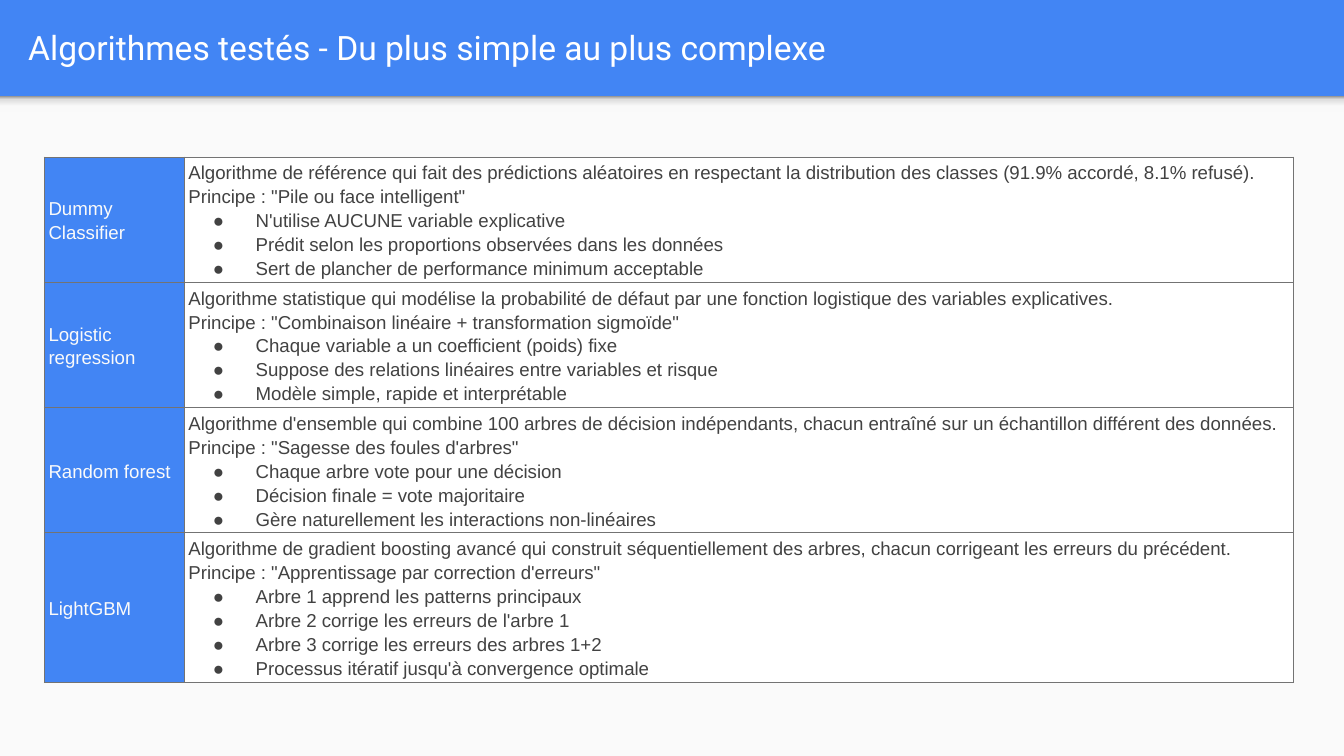
from lxml import etree
from pptx import Presentation
from pptx import util as u
from pptx.dml.color import RGBColor
from pptx.enum import shapes, text
from pptx.oxml import ns

HUES = {"blue": "4285F4", "pale": "FAFAFA", "white": "FFFFFF",
        "ink": "424242", "edge": "737373"}
SHADE = [(0, "F9F9F9"), (36, "F9F9F9"), (80, "DEDEDE"), (100, "999999")]

ROWS = [
    ("Dummy Classifier",
     ["Algorithme de référence qui fait des prédictions aléatoires en respectant la distribution "
      "des classes (91.9% accordé, 8.1% refusé). Principe : \"Pile ou face intelligent\""],
     ["N'utilise AUCUNE variable explicative",
      "Prédit selon les proportions observées dans les données",
      "Sert de plancher de performance minimum acceptable"]),
    ("Logistic regression",
     ["Algorithme statistique qui modélise la probabilité de défaut par une fonction logistique "
      "des variables explicatives.",
      "Principe : \"Combinaison linéaire + transformation sigmoïde\""],
     ["Chaque variable a un coefficient (poids) fixe",
      "Suppose des relations linéaires entre variables et risque",
      "Modèle simple, rapide et interprétable"]),
    ("Random forest",
     ["Algorithme d'ensemble qui combine 100 arbres de décision indépendants, chacun entraîné "
      "sur un échantillon différent des données. Principe : \"Sagesse des foules d'arbres\""],
     ["Chaque arbre vote pour une décision",
      "Décision finale = vote majoritaire",
      "Gère naturellement les interactions non-linéaires"]),
    ("LightGBM",
     ["Algorithme de gradient boosting avancé qui construit séquentiellement des arbres, chacun "
      "corrigeant les erreurs du précédent. Principe : \"Apprentissage par correction d'erreurs\""],
     ["Arbre 1 apprend les patterns principaux",
      "Arbre 2 corrige les erreurs de l'arbre 1",
      "Arbre 3 corrige les erreurs des arbres 1+2",
      "Processus itératif jusqu'à convergence optimale"]),
]


def node(root, tag, **attrs):
    return etree.SubElement(root, ns.qn(tag), attrs)


def solid(root, hue):
    node(node(root, "a:solidFill"), "a:srgbClr", val=hue)


class Deck:
    font, size, lead = "Arial", 10, 1.15

    def __init__(self, wide, high):
        self.prs = Presentation()
        self.prs.slide_width, self.prs.slide_height = u.Pt(wide), u.Pt(high)
        self.slide = self.prs.slides.add_slide(self.prs.slide_layouts[5])

    def back(self, hue):
        fill = self.slide.background.fill
        fill.solid()
        fill.fore_color.rgb = RGBColor.from_string(HUES[hue])

    def run(self, para, words, hue, font=None, size=None):
        run = para.add_run()
        run.text = words
        run.font.name = font or self.font
        run.font.size = u.Pt(size or self.size)
        run.font.color.rgb = RGBColor.from_string(HUES[hue])

    def title(self, words, *box):
        head = self.slide.shapes.title
        head.left, head.top, head.width, head.height = map(u.Pt, box)
        frame = head.text_frame
        frame.auto_size = text.MSO_AUTO_SIZE.NONE
        frame.word_wrap = True
        frame.vertical_anchor = text.MSO_ANCHOR.MIDDLE
        frame.margin_left = frame.margin_right = u.Pt(7.2)
        frame.margin_top = frame.margin_bottom = u.Pt(7.2)
        para = frame.paragraphs[0]
        para.alignment = text.PP_ALIGN.LEFT
        self.run(para, words, "white", "Roboto", 18)

    def rect(self, *box):
        shape = self.slide.shapes.add_shape(
            shapes.MSO_SHAPE.RECTANGLE, *map(u.Pt, box))
        shape.shadow.inherit = False
        shape.line.fill.background()
        return shape

    def panel(self, hue, *box):
        fill = self.rect(*box).fill
        fill.solid()
        fill.fore_color.rgb = RGBColor.from_string(HUES[hue])

    def shade(self, stops, *box):
        shape = self.rect(*box)
        shape.fill.gradient()
        shape.fill.gradient_angle = 90
        group = shape._element.spPr.find(".//" + ns.qn("a:gsLst"))
        for old in list(group):
            group.remove(old)
        for spot, hue in stops:
            stop = node(group, "a:gs", pos=str(spot * 1000))
            node(stop, "a:srgbClr", val=hue)

    def para(self, cell, words, hue, mark=False):
        frame = cell.text_frame
        para = frame.paragraphs[0]
        if para.runs:
            para = frame.add_paragraph()
        para.line_spacing = self.lead
        if mark:
            props = para._p.get_or_add_pPr()
            props.set("marL", str(u.Pt(36)))
            props.set("indent", str(u.Pt(-23)))
            node(node(props, "a:buClr"), "a:srgbClr", val=HUES[hue])
            node(props, "a:buFont", typeface=self.font)
            node(props, "a:buChar", char="●")
        self.run(para, words, hue)

    def cell(self, cell, hue):
        cell.vertical_anchor = text.MSO_ANCHOR.MIDDLE
        cell.margin_left = cell.margin_right = u.Pt(2.2)
        cell.margin_top = cell.margin_bottom = u.Pt(1.4)
        props = cell._tc.get_or_add_tcPr()
        for side in "LRTB":
            line = node(props, "a:ln" + side, w=str(u.Pt(0.6)))
            solid(line, HUES["edge"])
        cell.fill.solid()
        cell.fill.fore_color.rgb = RGBColor.from_string(HUES[hue])

    def table(self, rows, left, top, wides, highs):
        frame = self.slide.shapes.add_table(
            len(rows), len(wides), u.Pt(left), u.Pt(top),
            u.Pt(sum(wides)), u.Pt(sum(highs)))
        grid = frame.table
        for col, wide in zip(grid.columns, wides):
            col.width = u.Pt(wide)
        for row, high, (name, intro, points) in zip(grid.rows, highs, rows):
            row.height = u.Pt(high)
            label, body = row.cells
            self.cell(label, "blue")
            self.cell(body, "white")
            self.para(label, name, "pale")
            for words in intro:
                self.para(body, words, "ink")
            for words in points:
                self.para(body, words, "ink", True)

    def save(self):
        self.prs.save("out.pptx")


def main():
    deck = Deck(720, 405)
    deck.back("blue")
    deck.title("Algorithmes testés - Du plus simple au plus complexe",
               7.9, 1.6, 694.8, 47.6)
    deck.panel("pale", 0, 51.6, 720, 353.4)
    deck.shade(SHADE, 0, 51.6, 720, 8.6)
    deck.table(ROWS, 23.8, 84.2, [75, 594], [67.1] * 3 + [80.3])
    deck.save()


if __name__ == "__main__":
    main()
